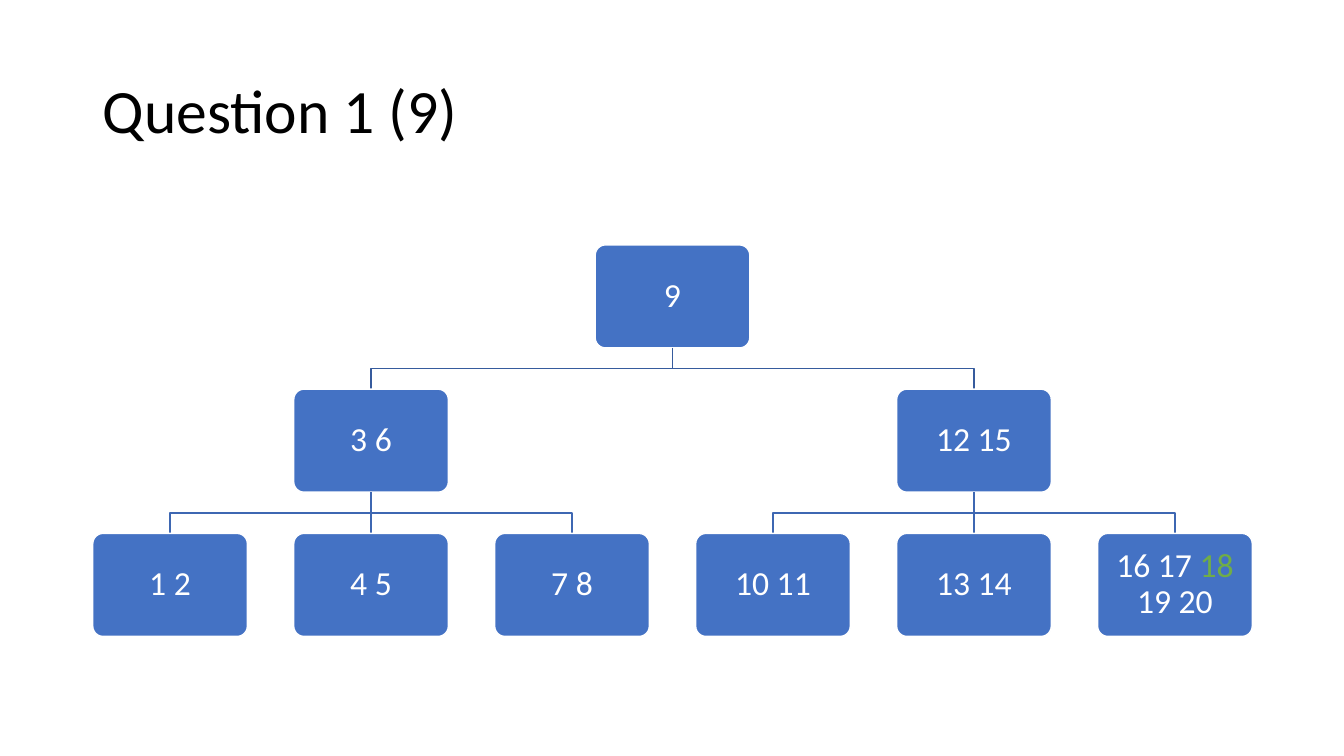
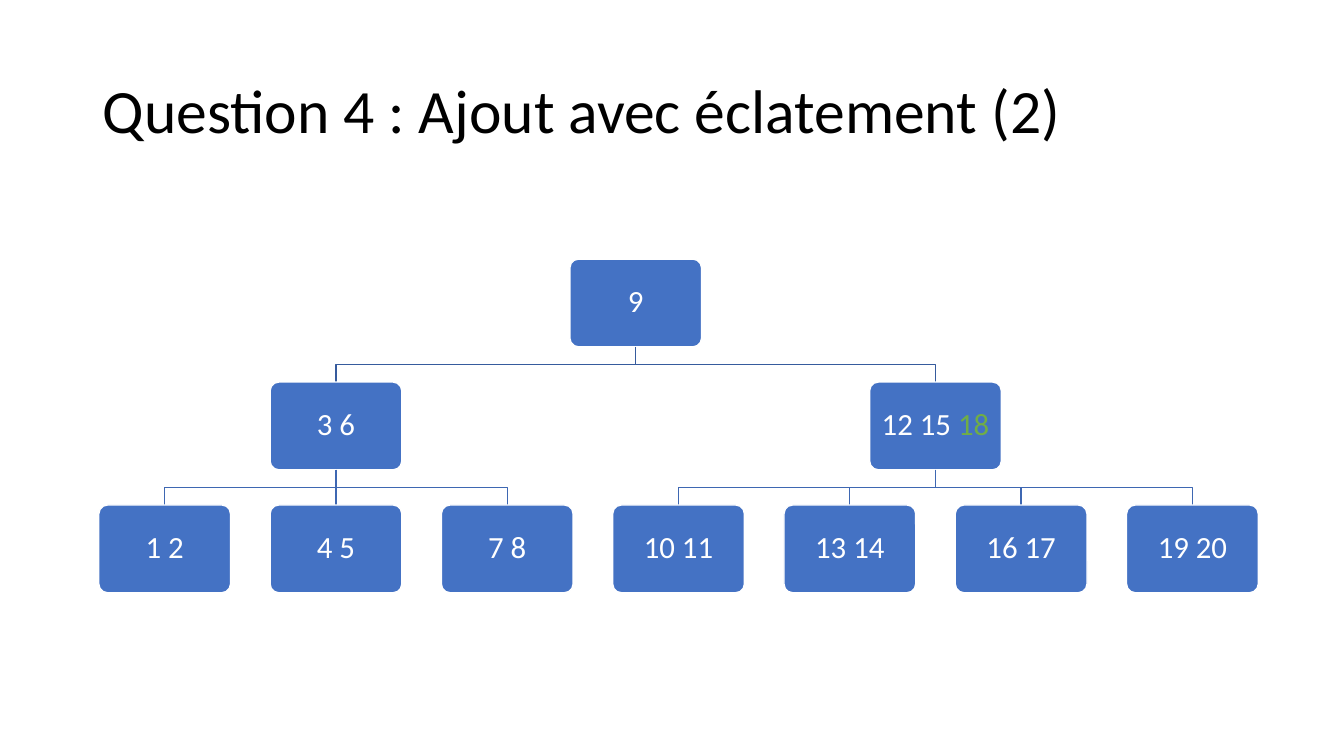
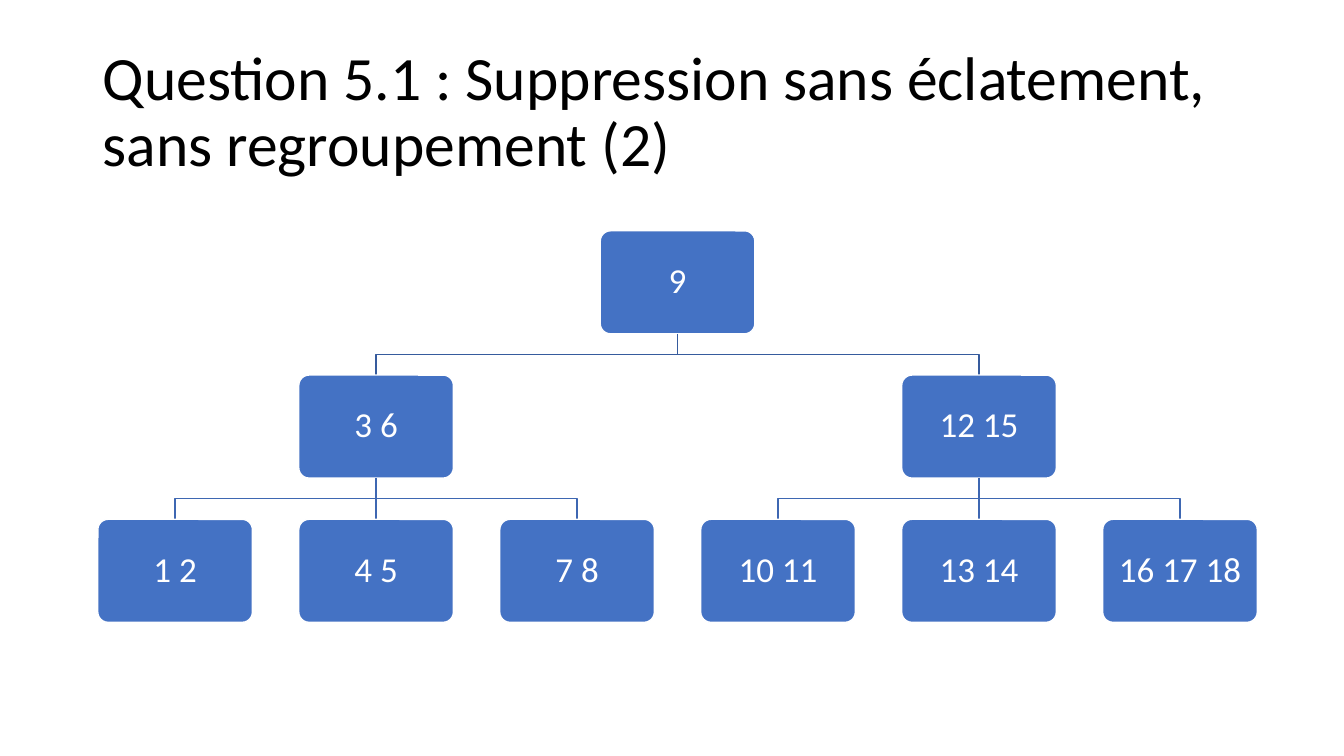
from collections import namedtuple
from pptx import Presentation
from pptx.dml.color import RGBColor
from pptx.enum import shapes, text
from pptx.oxml.ns import qn
from pptx.util import Inches, Pt
from lxml import etree

# A node is (keys, children); a key between asterisks is highlighted.
LOW = ("3 6", [("1 2", []), ("4 5", []), ("7 8", [])])


def tree(high, *leaves):
    return ("9", [LOW, (high, [(leaf, []) for leaf in leaves])])


# title, tree, left and top of the tree, size of the keys
SLIDES = [
    ("Question 1 (9)",
     tree("12 15", "10 11", "13 14", "16 17 *18* 19 20"), 0.92, 2.43, 24),
    ("Question 4 : Ajout avec éclatement (2)",
     tree("12 15 *18*", "10 11", "13 14", "16 17", "19 20"), 0.98, 2.57, 22),
    ("Question 5.1 : Suppression sans éclatement, sans regroupement (2)",
     tree("12 15", "10 11", "13 14", "16 17 18"), 0.97, 2.29, 25),
]


class Theme:
    font = "Calibri"
    title = 44
    ink = RGBColor.from_string("000000")
    node = RGBColor.from_string("4472C4")
    edge = RGBColor.from_string("FFFFFF")
    mark = RGBColor.from_string("70AD47")
    links = [RGBColor.from_string(c) for c in ("365B9D", "3E67B2")]


SPAN = 11.5    # width of a whole tree
GAP = 0.3      # space between leaves, in node widths
RATIO = 2 / 3  # node height, in node widths
STEP = 1.4     # distance between levels, in node heights

Spot = namedtuple("Spot", "keys x depth kids")


def write(para, words, size, color):
    run = para.add_run()
    run.text = words
    run.font.name, run.font.size = Theme.font, Pt(size)
    run.font.color.rgb = color


def add_title(slide, words):
    box = slide.shapes.add_textbox(
        Inches(0.92), Inches(0.4), Inches(SPAN), Inches(1.45))
    frame = box.text_frame
    frame.word_wrap = True
    frame.vertical_anchor = text.MSO_ANCHOR.MIDDLE
    para = frame.paragraphs[0]
    para.line_spacing = 0.9
    write(para, words, Theme.title, Theme.ink)


def place(node, slots, depth=0):
    """Take leaf centres from slots; centre each parent over its children."""
    keys, kids = node
    spots = [place(kid, slots, depth + 1) for kid in kids]
    x = (spots[0].x + spots[-1].x) / 2 if spots else next(slots)
    return Spot(keys, x, depth, spots)


def count(node):
    return sum(map(count, node[1])) or 1


class Chart:
    """Draws one tree on a slide."""

    def __init__(self, slide, node, left, top, size):
        self.shapes, self.top, self.size = slide.shapes, top, size
        n = count(node)
        self.wide = SPAN / (n + (n - 1) * GAP)
        self.high = self.wide * RATIO
        slots = (left + self.wide * (0.5 + i * (1 + GAP)) for i in range(n))
        self.draw(place(node, slots))

    def level(self, depth):
        return self.top + depth * self.high * STEP

    def draw(self, spot):
        self.box(spot)
        for kid in spot.kids:
            self.link(spot, kid)
            self.draw(kid)

    def box(self, spot):
        box = self.shapes.add_shape(
            shapes.MSO_SHAPE.ROUNDED_RECTANGLE,
            Inches(spot.x - self.wide / 2), Inches(self.level(spot.depth)),
            Inches(self.wide), Inches(self.high))
        box.adjustments[0] = 0.1
        box.shadow.inherit = False
        box.fill.solid()
        box.fill.fore_color.rgb = Theme.node
        box.line.color.rgb, box.line.width = Theme.edge, Pt(1)
        frame = box.text_frame
        frame.word_wrap = True
        frame.vertical_anchor = text.MSO_ANCHOR.MIDDLE
        for side in ("left", "right", "top", "bottom"):
            setattr(frame, f"margin_{side}", Inches(0.08))
        para = frame.paragraphs[0]
        para.alignment = text.PP_ALIGN.CENTER
        para.line_spacing = 0.9
        for i, part in enumerate(spot.keys.split("*")):
            if part:
                write(para, part, self.size, Theme.mark if i % 2 else Theme.edge)

    def link(self, spot, kid):
        start = self.level(spot.depth) + self.high
        end = self.level(kid.depth)
        mid = (start + end) / 2
        if abs(spot.x - kid.x) < 0.01:
            line = self.shapes.add_connector(
                shapes.MSO_CONNECTOR.STRAIGHT,
                Inches(spot.x), Inches(start), Inches(spot.x), Inches(end))
            etree.SubElement(line.element.spPr, qn("a:effectLst"))
        else:
            pen = self.shapes.build_freeform(Inches(spot.x), Inches(start))
            bends = [(spot.x, mid), (kid.x, mid), (kid.x, end)]
            pen.add_line_segments(
                [(Inches(x), Inches(y)) for x, y in bends], close=False)
            line = pen.convert_to_shape()
            line.fill.background()
            line.shadow.inherit = False
        line.line.color.rgb = Theme.links[spot.depth]
        line.line.width = Pt(1)


def main():
    deck = Presentation()
    deck.slide_width, deck.slide_height = Inches(13.33), Inches(7.5)
    for title, node, left, top, size in SLIDES:
        slide = deck.slides.add_slide(deck.slide_layouts[6])
        add_title(slide, title)
        Chart(slide, node, left, top, size)
    deck.save("out.pptx")


if __name__ == "__main__":
    main()
